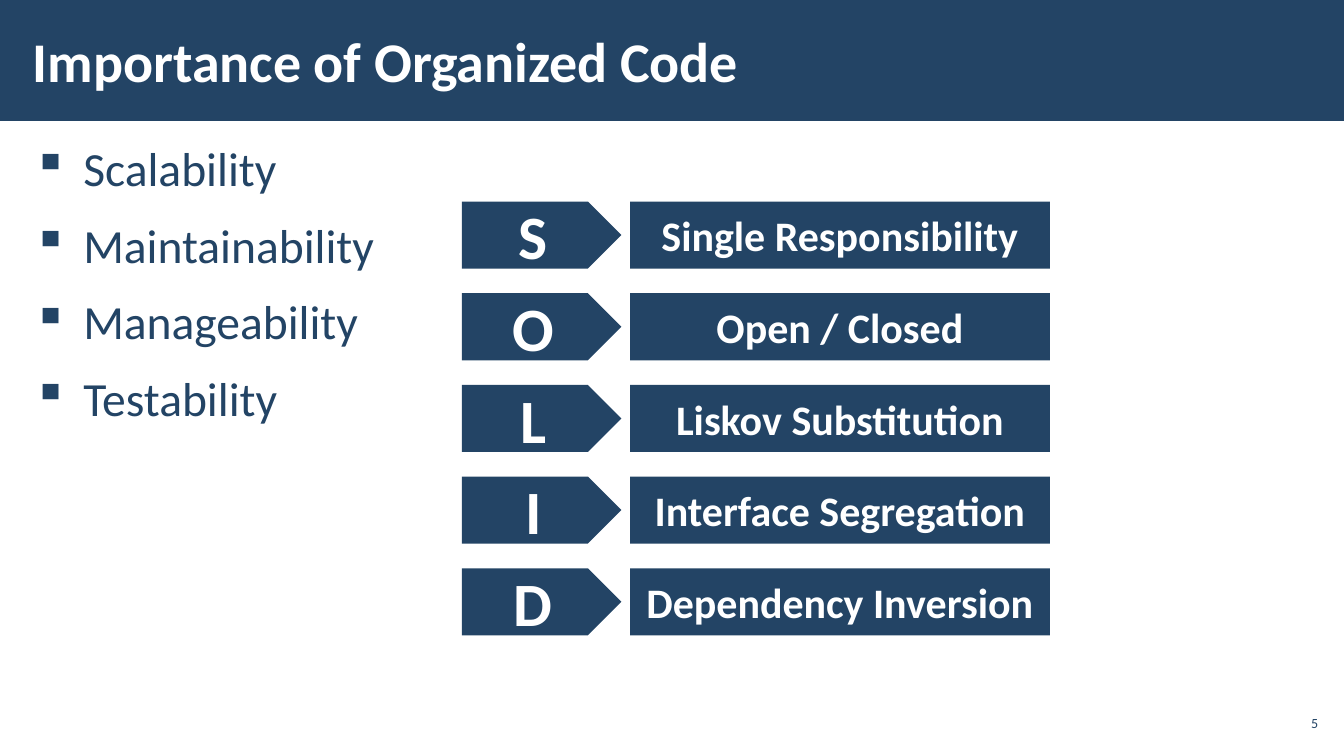
from pptx import Presentation
from pptx.dml.color import RGBColor
from pptx.enum.shapes import MSO_SHAPE
from pptx.enum.text import MSO_ANCHOR, PP_ALIGN
from pptx.oxml.xmlchemy import OxmlElement
from pptx.util import Cm, Pt

NAVY = RGBColor(0x23, 0x44, 0x65)
WHITE = RGBColor(0xFF, 0xFF, 0xFF)

QUALITIES = ["Scalability", "Maintainability", "Manageability", "Testability"]
PRINCIPLES = [
    ("S", "Single Responsibility"),
    ("O", "Open / Closed"),
    ("L", "Liskov Substitution"),
    ("I", "Interface Segregation"),
    ("D", "Dependency Inversion"),
]

deck = Presentation()
deck.slide_width, deck.slide_height = Cm(33.87), Cm(19.05)
page = deck.slides.add_slide(deck.slide_layouts[6])


def add_navy_shape(kind, left, top, width, height):
    shape = page.shapes.add_shape(kind, Cm(left), Cm(top), Cm(width), Cm(height))
    shape.shadow.inherit = False
    shape.fill.solid()
    shape.fill.fore_color.rgb = NAVY
    shape.line.fill.background()
    shape.text_frame.vertical_anchor = MSO_ANCHOR.MIDDLE
    return shape


def add_span(para, text, size, color, bold=False, align=PP_ALIGN.LEFT):
    """Append one formatted run and align its paragraph."""
    para.alignment = align
    span = para.add_run()
    span.text = text
    span.font.name = "Calibri"
    span.font.size = Pt(size)
    span.font.bold = bold
    span.font.color.rgb = color


add_navy_shape(MSO_SHAPE.RECTANGLE, 0, 0, 33.87, 3.05)

# Text boxes: body, title and page number
body = page.shapes.add_textbox(Cm(0.53), Cm(3.33), Cm(32.82), Cm(14.45))
title = page.shapes.add_textbox(Cm(0.53), Cm(0.28), Cm(26.39), Cm(2.46))
number = page.shapes.add_textbox(Cm(32.13), Cm(17.78), Cm(1.19), Cm(0.86))
for box, side, anchor in [
    (body, 0.3, MSO_ANCHOR.TOP),
    (title, 0.3, MSO_ANCHOR.MIDDLE),
    (number, 0.1, MSO_ANCHOR.MIDDLE),
]:
    frame = box.text_frame
    frame.word_wrap = True
    frame.vertical_anchor = anchor
    frame.margin_left = frame.margin_right = Cm(side)
    frame.margin_top = frame.margin_bottom = Cm(0.1)

add_span(title.text_frame.paragraphs[0], "Importance of Organized Code", 40, WHITE, bold=True)
add_span(number.text_frame.paragraphs[0], "5", 10, NAVY, align=PP_ALIGN.RIGHT)

for index, quality in enumerate(QUALITIES):
    para = body.text_frame.add_paragraph() if index else body.text_frame.paragraphs[0]
    add_span(para, quality, 34, NAVY)
    para.line_spacing = 1.05
    para.space_before = para.space_after = Pt(6)
    properties = para._p.get_or_add_pPr()
    properties.set("marL", str(Cm(1.27)))
    properties.set("indent", str(Cm(-1.27)))
    bullet = OxmlElement("a:buChar")
    bullet.set("char", "▪")
    properties.append(bullet)

# SOLID principles: a letter arrow and its name on each row
for row, (letter, principle) in enumerate(PRINCIPLES):
    top = 5.08 + row * 2.31
    arrow = add_navy_shape(MSO_SHAPE.PENTAGON, 11.64, top, 4.02, 1.69)
    label = add_navy_shape(MSO_SHAPE.RECTANGLE, 15.88, top, 10.58, 1.69)
    for shape, text, size in [(arrow, letter, 44), (label, principle, 30)]:
        add_span(shape.text_frame.paragraphs[0], text, size, WHITE, bold=True, align=PP_ALIGN.CENTER)

deck.save("out.pptx")
